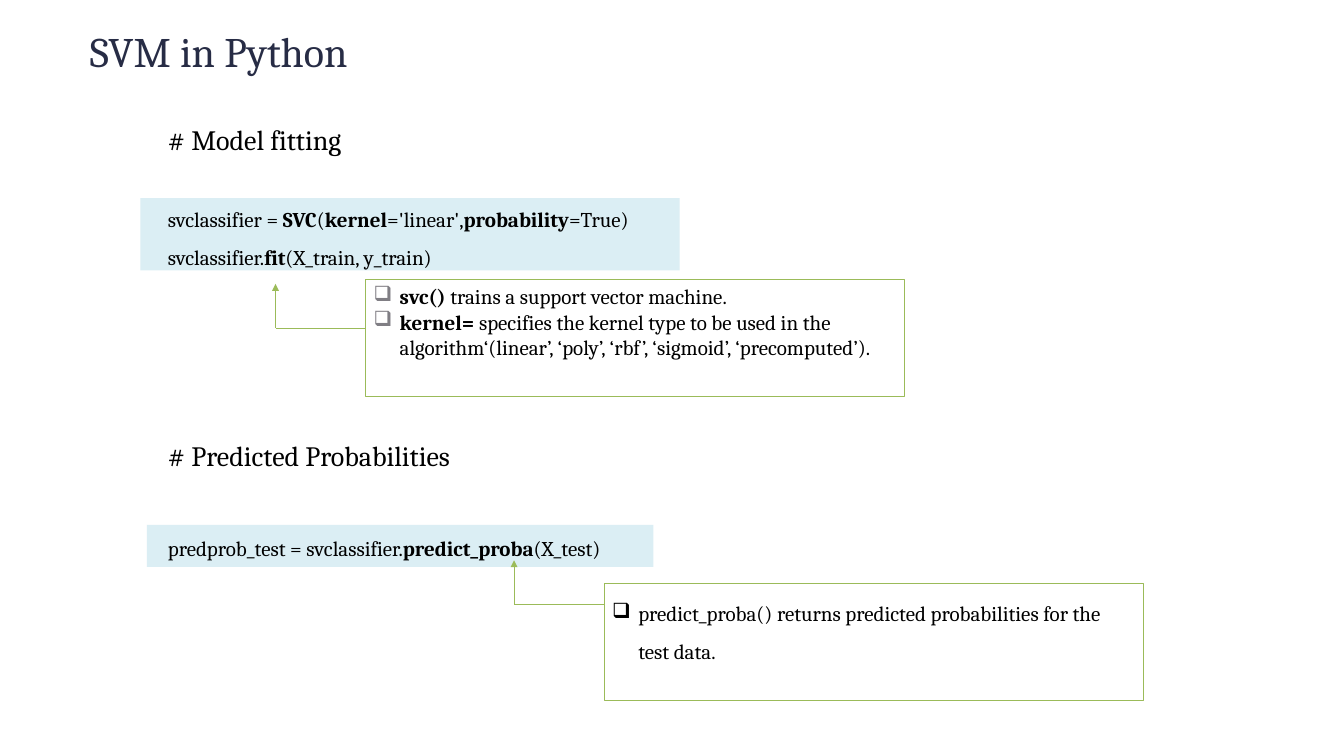
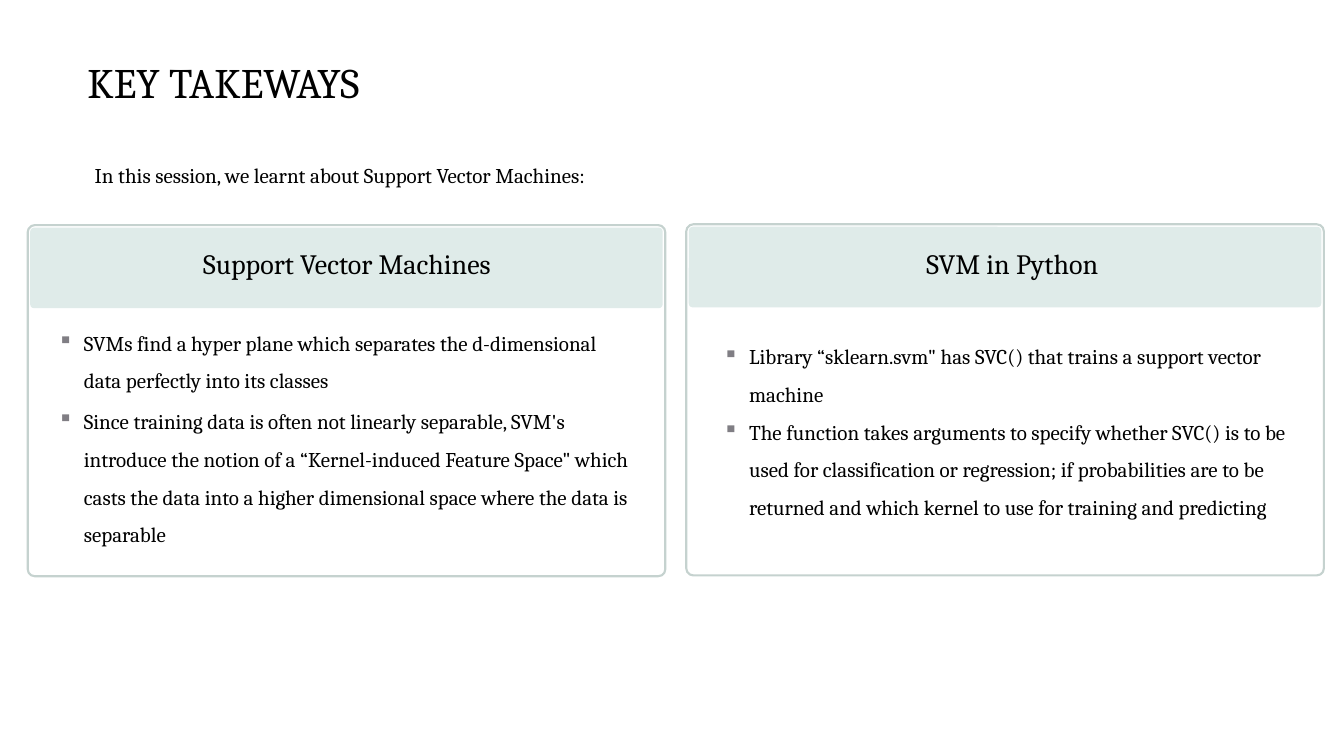
from lxml.etree import SubElement as Sub
from pptx import Presentation
from pptx.dml.color import RGBColor
from pptx.enum.shapes import MSO_CONNECTOR as Link, MSO_SHAPE as Kind
from pptx.enum.text import MSO_ANCHOR as Anchor, MSO_AUTO_SIZE as Fit, PP_ALIGN as Align
from pptx.oxml.ns import qn
from pptx.util import Inches, Pt

FONT = "Cambria"
BLACK = RGBColor(0x00, 0x00, 0x00)
WHITE = RGBColor(0xFF, 0xFF, 0xFF)
NAVY = RGBColor(0x27, 0x2C, 0x45)
GRAY = RGBColor(0x80, 0x7E, 0x84)
GREEN = RGBColor(0x9B, 0xBB, 0x59)
SKY = RGBColor(0xDB, 0xEE, 0xF4)
MINT = RGBColor(0xDF, 0xEB, 0xE9)
EDGE = RGBColor(0xC5, 0xD2, 0xCF)


def style(run, size, color=BLACK, bold=False):
    font = run.font
    font.name, font.size, font.bold = FONT, Pt(size), bold
    font.color.rgb = color


def bullet(para, mark, color):
    props = para._p.get_or_add_pPr()
    props.set("marL", str(Inches(0.31)))
    props.set("indent", str(-Inches(0.31)))
    if color is not None:
        tint = Sub(props, qn("a:buClr"))
        Sub(tint, qn("a:srgbClr")).set("val", str(color))
    Sub(props, qn("a:buChar")).set("char", mark)


def write(frame, lines, size=18, space=1.5, align=Align.LEFT, mark=None, tint=GRAY, gap=0):
    frame.word_wrap = True
    frame.vertical_anchor = Anchor.TOP
    for i, line in enumerate(lines):
        para = frame.add_paragraph() if i else frame.paragraphs[0]
        if mark:
            bullet(para, mark, tint)
        para.alignment = align
        para.line_spacing = space
        if i and gap:
            para.space_before = Pt(gap)
        for j, part in enumerate(line.split("|")):
            if part:
                run = para.add_run()
                run.text = part
                style(run, size, bold=j % 2 == 1)


def label(slide, box, lines, **look):
    shape = slide.shapes.add_textbox(*map(Inches, box))
    write(shape.text_frame, lines, **look)


def block(slide, box, fill=None, line=None, width=0.75, round_=None):
    kind = Kind.RECTANGLE if round_ is None else Kind.ROUNDED_RECTANGLE
    shape = slide.shapes.add_shape(kind, *map(Inches, box))
    shape.shadow.inherit = False
    if round_ is not None:
        shape.adjustments[0] = round_
    if fill is None:
        shape.fill.background()
    else:
        shape.fill.solid()
        shape.fill.fore_color.rgb = fill
    if line is None:
        shape.line.fill.background()
    else:
        shape.line.color.rgb = line
        shape.line.width = Pt(width)
    return shape


def link(slide, start, end, arrow=False):
    line = slide.shapes.add_connector(Link.STRAIGHT, *map(Inches, start + end))
    line.line.color.rgb = GREEN
    line.line.width = Pt(0.75)
    if arrow:
        Sub(line.line._get_or_add_ln(), qn("a:tailEnd")).set("type", "triangle")
    Sub(line._element.spPr, qn("a:effectLst"))


def start(deck, text, left, top, color):
    slide = deck.slides.add_slide(deck.slide_layouts[5])
    title = slide.shapes.title
    title.left, title.top = Inches(left), Inches(top)
    title.width, title.height = Inches(14.93), Inches(0.61)
    frame = title.text_frame
    frame.text = text
    frame.auto_size = Fit.NONE
    frame.vertical_anchor = Anchor.MIDDLE
    frame.margin_left = frame.margin_right = frame.margin_top = frame.margin_bottom = 0
    para = frame.paragraphs[0]
    para.alignment = Align.LEFT
    style(para.runs[0], 36, color)
    return slide


def code(slide, box, head, head_top, lines, text_top):
    left, width = 1.9, 10.97
    block(slide, box, SKY)
    label(slide, (left, head_top, width, 0.7), [head], size=24)
    label(slide, (left, text_top, width, 0.1 + 0.45 * len(lines)), lines)


def note(slide, left, top, drop, lines, **look):
    shape = block(slide, (left, top, 6.42, 1.39), WHITE, GREEN)
    write(shape.text_frame, lines, mark="❑", **look)
    bend = left - 1.07, top + drop
    link(slide, bend, (bend[0], bend[1] - 0.53), arrow=True)
    link(slide, (left, bend[1]), bend)


def panel(slide, left, top, inset, head, body, lines, gap=0):
    block(slide, (left, top, 7.59, 4.18), line=EDGE, width=1.8, round_=0.02)
    block(slide, (left + 0.03, top + 0.03, 7.53, 0.96), MINT, round_=0.05)
    left += inset
    label(slide, (left, 2.68, 7.08, 0.7), [head], size=24, align=Align.CENTER)
    label(slide, (left, body, 7.08, 2.8), lines, mark="▪", gap=gap)


def python(deck):
    slide = start(deck, "SVM in Python", 1.07, 0.3, NAVY)
    code(slide, (1.67, 2.36, 6.42, 0.86), "# Model fitting", 1.21, [
        "svclassifier = |SVC|(|kernel|='linear',|probability|=True)",
        "svclassifier.|fit|(X_train, y_train)",
    ], 2.26)
    code(slide, (1.75, 6.25, 6.03, 0.5), "# Predicted Probabilities", 4.97, [
        "predprob_test = svclassifier.|predict_proba|(X_test)",
    ], 6.17)
    note(slide, 4.35, 3.33, 0.58, [
        "|svc()| trains a support vector machine.",
        "|kernel= |specifies the kernel type to be used in the algorithm"
        "‘(linear’, ‘poly’, ‘rbf’, ‘sigmoid’, ‘precomputed’).",
    ], space=1.0)
    note(slide, 7.19, 6.95, 0.25, [
        "predict_proba() returns predicted probabilities for the test data.",
    ], tint=None)


def recap(deck):
    slide = start(deck, "KEY TAKEWAYS", 1.04, 0.67, BLACK)
    label(slide, (1.03, 1.73, 8, 0.51),
          ["In this session, we learnt about Support Vector Machines:"])
    panel(slide, 0.33, 2.68, 0.26, "Support Vector Machines", 3.73, [
        "SVMs find a hyper plane which separates the d-dimensional data "
        "perfectly into its classes",
        "Since training data is often not linearly separable, SVM's introduce "
        "the notion of a “Kernel-induced Feature Space\" which casts the data "
        "into a higher dimensional space where the data is separable",
    ], gap=2.4)
    panel(slide, 8.17, 2.67, 0.34, "SVM in Python", 3.89, [
        "Library “sklearn.svm\" has SVC() that trains a support vector machine",
        "The function takes arguments to specify whether SVC() is to be used "
        "for classification or regression; if probabilities are to be returned "
        "and which kernel to use for training and predicting",
    ])


def main():
    deck = Presentation()
    deck.slide_width, deck.slide_height = Inches(16), Inches(9)
    python(deck)
    recap(deck)
    deck.save("out.pptx")


if __name__ == "__main__":
    main()
